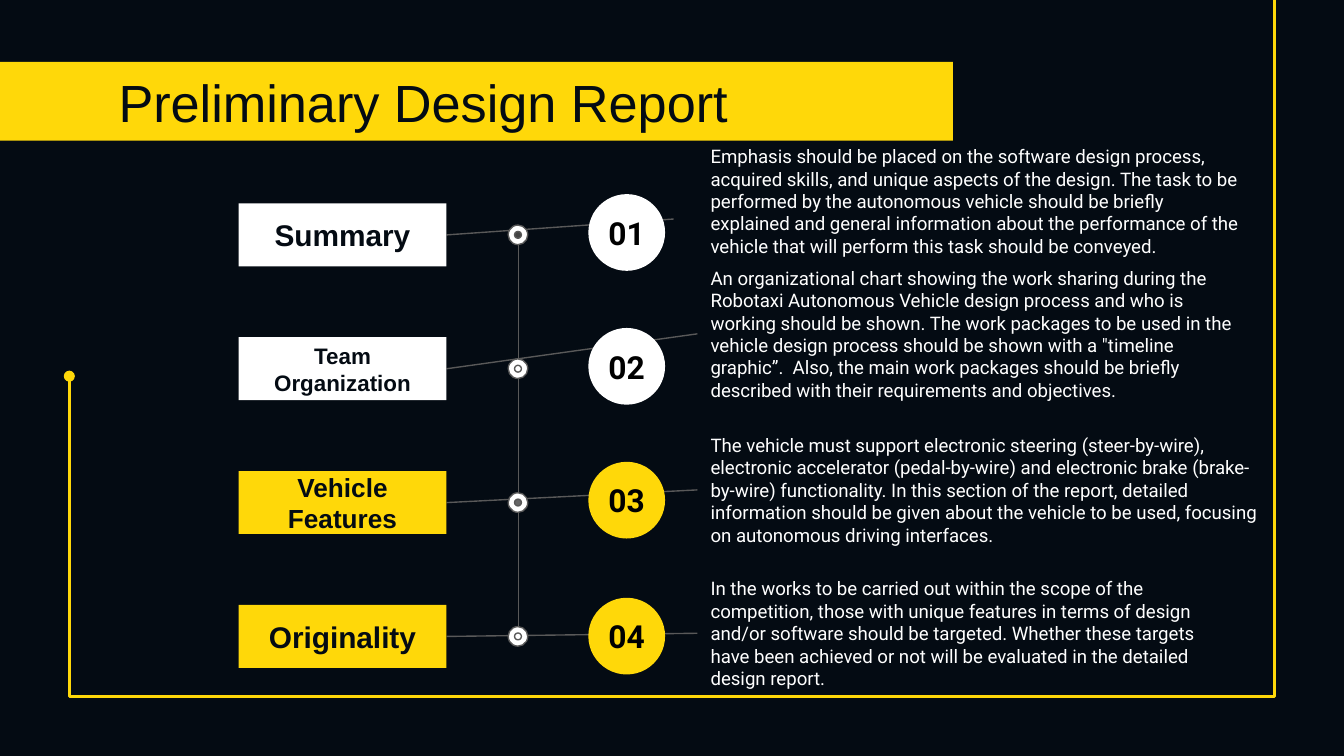
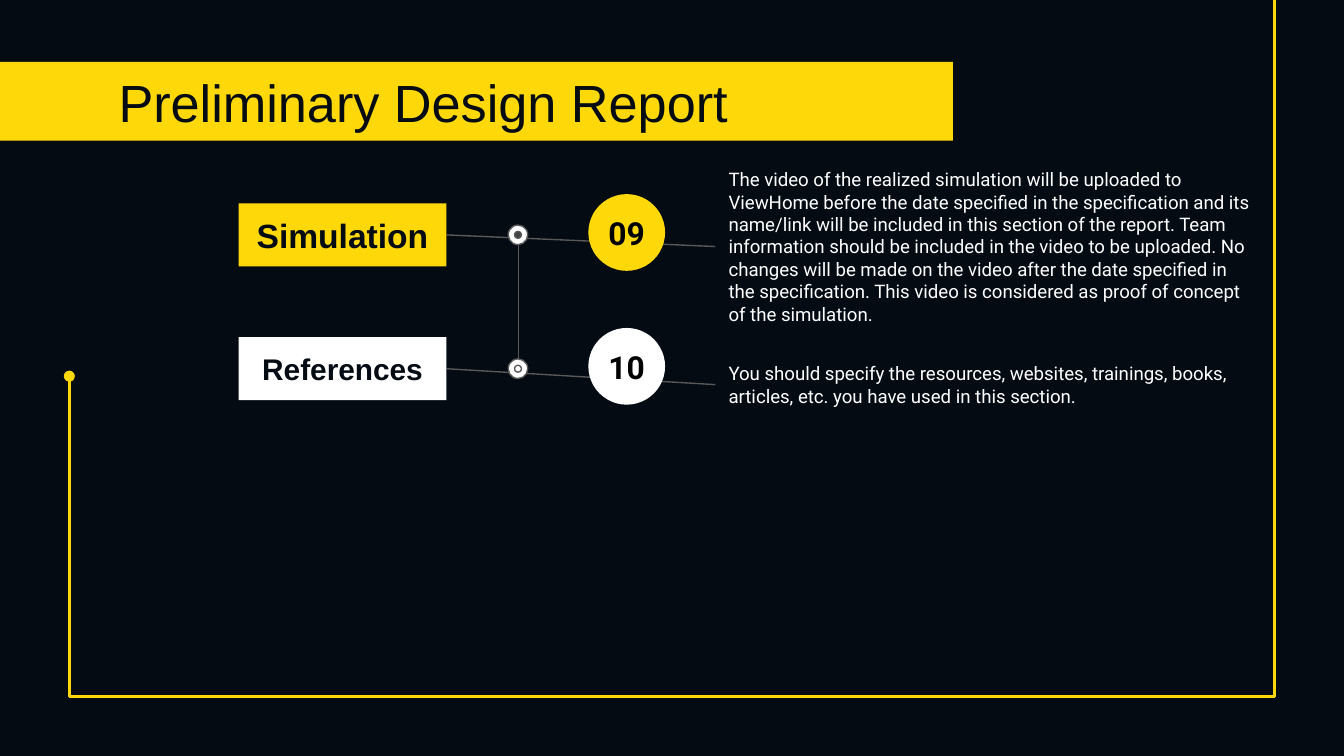
from dataclasses import dataclass
from typing import Optional

from lxml.etree import SubElement
from pptx import Presentation
from pptx.dml.color import RGBColor
from pptx.enum.shapes import MSO_CONNECTOR, MSO_SHAPE
from pptx.enum.text import MSO_ANCHOR, MSO_AUTO_SIZE, PP_ALIGN
from pptx.oxml.ns import qn
from pptx.util import Cm, Pt

COLORS = {
    "night": "040B13",
    "yellow": "FFD809",
    "white": "FFFFFF",
    "black": "000000",
    "line": "595959",
    "dark_dot": "434343",
    "gray_dot": "666666",
}
HEADING_FONT = "Arial"
BODY_FONT = "Roboto"
REPORT_TITLE = "Preliminary Design Report"
INSET = 0.25

FRAME_LEFT, FRAME_RIGHT, FRAME_BOTTOM = 1.31, 24.08, 13.17
FRAME_LEFT_JOIN, FRAME_RIGHT_JOIN, FRAME_LEFT_TOP = 9.6, 2.31, 7.11

FIRST_ROW, ROW_PITCH = 4.44, 2.53
LABEL_LEFT, LABEL_WIDTH, LABEL_HEIGHT = 4.51, 3.93, 1.19
SPINE_X, DOT_X = 9.8, 9.79
NUMBER_LEFT, NUMBER_SIZE, NUMBER_RISE = 11.12, 1.45, 0.77
DOT_SIZE, DOT_CORE_SIZE = 0.37, 0.13


@dataclass(frozen=True)
class Box:
    left: float
    top: float
    width: float
    height: float


@dataclass(frozen=True)
class Section:
    number: str
    label: str
    label_size: int
    color: str
    core: str
    description: str
    area: Box
    leader_end: Optional[tuple[float, float]] = None
    number_drop: float = 0


DESIGN_SECTIONS = [
    Section(
        "01", "Summary", 16, "white", "dark_dot",
        "Emphasis should be placed on the software design process, acquired skills, "
        "and unique aspects of the design. The task to be performed by the autonomous "
        "vehicle should be briefly explained and general information about the "
        "performance of the vehicle that will perform this task should be conveyed.",
        Box(13.18, 2.38, 10.62, 2.84), leader_end=(12.73, 4.14),
    ),
    Section(
        "02", "Team Organization", 12, "white", "white",
        "An organizational chart showing the work sharing during the Robotaxi "
        "Autonomous Vehicle design process and who is working should be shown. The "
        "work packages to be used in the vehicle design process should be shown with "
        'a "timeline graphic”.  Also, the main work packages should be briefly '
        "described with their requirements and objectives.",
        Box(13.18, 4.89, 10.62, 2.84),
    ),
    Section(
        "03", "Vehicle Features", 14, "yellow", "gray_dot",
        "The vehicle must support electronic steering (steer-by-wire), electronic "
        "accelerator (pedal-by-wire) and electronic brake (brake-by-wire) "
        "functionality. In this section of the report, detailed information should be "
        "given about the vehicle to be used, focusing on autonomous driving interfaces.",
        Box(13.18, 7.99, 10.87, 2.54),
    ),
    Section(
        "04", "Originality", 16, "yellow", "white",
        "In the works to be carried out within the scope of the competition, those "
        "with unique features in terms of design and/or software should be targeted. "
        "Whether these targets have been achieved or not will be evaluated in the "
        "detailed design report.",
        Box(13.18, 10.93, 10.26, 2.08), number_drop=0.04,
    ),
]

CLOSING_SECTIONS = [
    Section(
        "09", "Simulation", 18, "yellow", "dark_dot",
        "The video of the realized simulation will be uploaded to ViewHome before the "
        "date specified in the specification and its name/link will be included in "
        "this section of the report. Team information should be included in the video "
        "to be uploaded. No changes will be made on the video after the date specified "
        "in the specification. This video is considered as proof of concept of the "
        "simulation.",
        Box(13.52, 2.87, 10.46, 3.58),
    ),
    Section(
        "10", "References", 16, "white", "white",
        "You should specify the resources, websites, trainings, books, articles, etc. "
        "you have used in this section.",
        Box(13.52, 6.15, 10.46, 2.24),
    ),
]


def rgb(name: str) -> RGBColor:
    return RGBColor.from_string(COLORS[name])


def lengths(box: Box) -> tuple:
    return Cm(box.left), Cm(box.top), Cm(box.width), Cm(box.height)


def write(shape, text: str, font_name: str, size: int, color: str,
          bold: bool = False, align=PP_ALIGN.LEFT, anchor=MSO_ANCHOR.MIDDLE) -> None:
    frame = shape.text_frame
    frame.word_wrap = True
    frame.auto_size = MSO_AUTO_SIZE.NONE
    frame.vertical_anchor = anchor
    frame.margin_left = frame.margin_right = Cm(INSET)
    frame.margin_top = frame.margin_bottom = Cm(INSET)
    frame.text = text
    paragraph = frame.paragraphs[0]
    paragraph.alignment = align
    paragraph.font.name = font_name
    paragraph.font.size = Pt(size)
    paragraph.font.bold = bold
    paragraph.font.color.rgb = rgb(color)


def add_filled(slide, kind, box: Box, fill: str, outline: Optional[str] = None):
    shape = slide.shapes.add_shape(kind, *lengths(box))
    shape.shadow.inherit = False
    shape.fill.solid()
    shape.fill.fore_color.rgb = rgb(fill)
    if outline:
        shape.line.color.rgb = rgb(outline)
        shape.line.width = Pt(0.75)
    else:
        shape.line.fill.background()
    return shape


def add_line(slide, start: tuple[float, float], end: tuple[float, float],
             color: str = "line", width: float = 0.75):
    line = slide.shapes.add_connector(
        MSO_CONNECTOR.STRAIGHT, *(Cm(value) for value in (*start, *end)))
    line.line.color.rgb = rgb(color)
    line.line.width = Pt(width)
    SubElement(line._element.spPr, qn("a:effectLst"))
    return line


def add_frame(slide) -> None:
    corners = [(FRAME_LEFT, FRAME_BOTTOM), (FRAME_RIGHT, FRAME_BOTTOM),
               (FRAME_RIGHT, FRAME_RIGHT_JOIN)]
    builder = slide.shapes.build_freeform(Cm(FRAME_LEFT), Cm(FRAME_LEFT_JOIN))
    builder.add_line_segments([(Cm(x), Cm(y)) for x, y in corners], close=False)
    border = builder.convert_to_shape()
    border.shadow.inherit = False
    border.fill.background()
    border.line.color.rgb = rgb("yellow")
    border.line.width = Pt(1.5)

    left_end = add_line(slide, (FRAME_LEFT, FRAME_LEFT_JOIN),
                        (FRAME_LEFT, FRAME_LEFT_TOP), "yellow", 1.5)
    SubElement(left_end.line._get_or_add_ln(), qn("a:tailEnd"), type="oval")
    add_line(slide, (FRAME_RIGHT, FRAME_RIGHT_JOIN), (FRAME_RIGHT, 0), "yellow", 1.5)


def add_heading(slide) -> None:
    add_filled(slide, MSO_SHAPE.RECTANGLE, Box(0, 1.17, 18.01, 1.49), "yellow")
    add_frame(slide)
    title = slide.shapes.title
    title.left, title.top, title.width, title.height = lengths(
        Box(1.99, 1.07, 21.44, 1.6))
    write(title, REPORT_TITLE, HEADING_FONT, 28, "night", anchor=MSO_ANCHOR.TOP)
    slide.shapes._spTree.append(title._element)


def add_section(slide, section: Section, middle: float) -> None:
    area = section.area
    leader_end = section.leader_end or (area.left, area.top + area.height / 2)
    add_line(slide, (LABEL_LEFT + LABEL_WIDTH, middle), leader_end)

    label = add_filled(
        slide, MSO_SHAPE.RECTANGLE,
        Box(LABEL_LEFT, middle - LABEL_HEIGHT / 2, LABEL_WIDTH, LABEL_HEIGHT),
        section.color)
    write(label, section.label, HEADING_FONT, section.label_size, "night",
          bold=True, align=PP_ALIGN.CENTER)

    number = add_filled(
        slide, MSO_SHAPE.OVAL,
        Box(NUMBER_LEFT, middle - NUMBER_RISE + section.number_drop,
            NUMBER_SIZE, NUMBER_SIZE),
        section.color)
    write(number, section.number, BODY_FONT, 17, "black",
          bold=True, align=PP_ALIGN.CENTER)
    number.text_frame.word_wrap = False

    description = slide.shapes.add_textbox(*lengths(area))
    write(description, section.description, BODY_FONT, 10, "white")


def add_dot(slide, middle: float, core: str) -> None:
    for size, fill in ((DOT_SIZE, "white"), (DOT_CORE_SIZE, core)):
        add_filled(slide, MSO_SHAPE.OVAL,
                   Box(DOT_X - size / 2, middle - size / 2, size, size),
                   fill, outline="line")


def add_report_slide(prs, sections: list[Section]) -> None:
    slide = prs.slides.add_slide(prs.slide_layouts.get_by_name("Title Only"))
    add_heading(slide)
    middles = [FIRST_ROW + ROW_PITCH * row for row in range(len(sections))]
    for section, middle in zip(sections, middles):
        add_section(slide, section, middle)
    add_line(slide, (SPINE_X, middles[0] - 0.13), (SPINE_X, middles[-1] + 0.18))
    for section, middle in zip(sections, middles):
        add_dot(slide, middle, section.core)


def main() -> None:
    prs = Presentation()
    prs.slide_width, prs.slide_height = Cm(25.4), Cm(14.29)
    background = prs.slide_master.background.fill
    background.solid()
    background.fore_color.rgb = rgb("night")
    for sections in (DESIGN_SECTIONS, CLOSING_SECTIONS):
        add_report_slide(prs, sections)
    prs.save("out.pptx")


if __name__ == "__main__":
    main()
